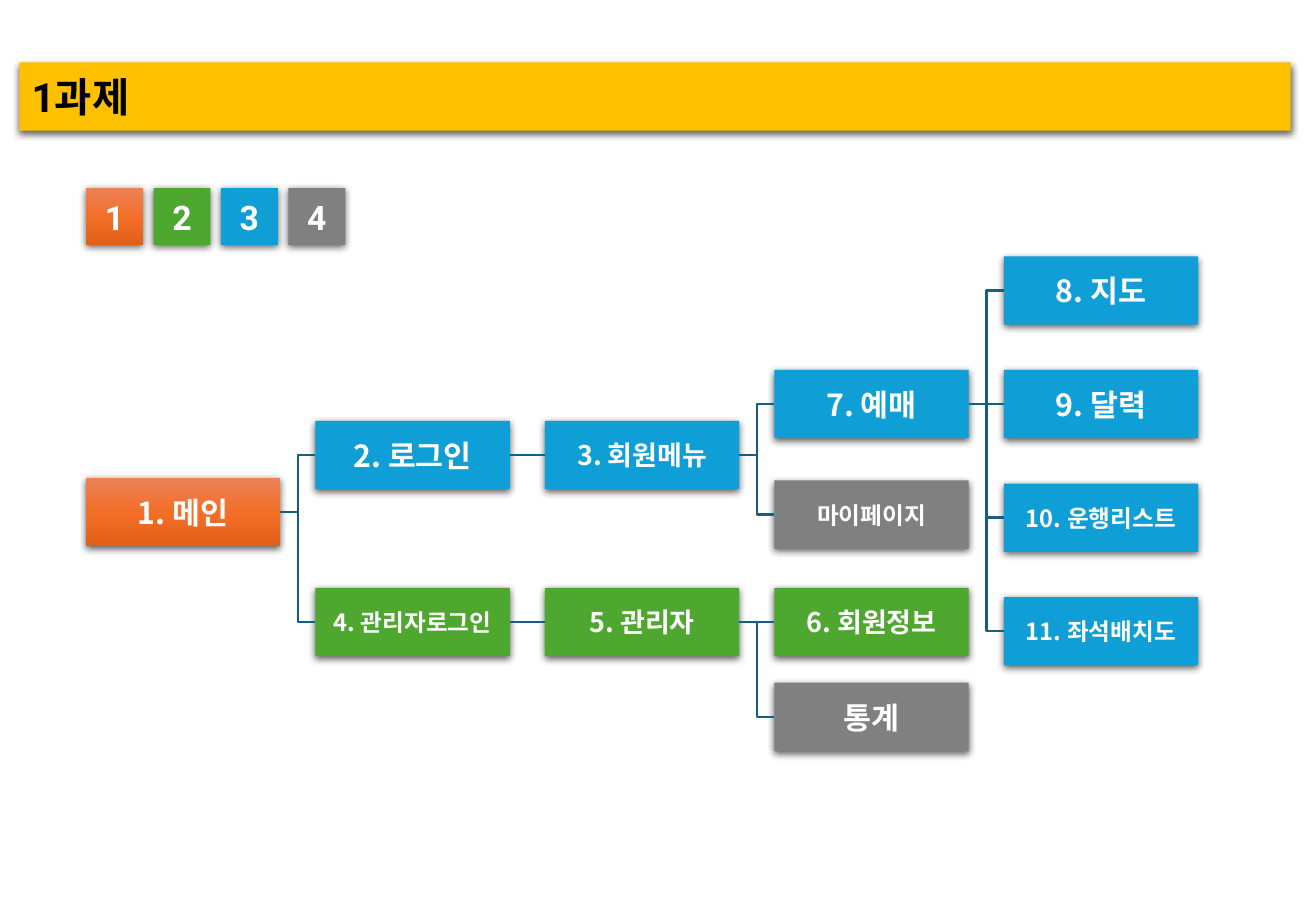
from copy import deepcopy

from pptx import Presentation
from pptx.dml.color import RGBColor
from pptx.enum import shapes, text
from pptx.oxml import parse_xml
from pptx.oxml import ns
from pptx.util import Pt

YELLOW = RGBColor(0xFF, 0xC0, 0x00)
GREEN = RGBColor(0x4E, 0xA7, 0x2E)
BLUE = RGBColor(0x0F, 0x9E, 0xD5)
GRAY = RGBColor(0x80, 0x80, 0x80)
NAVY = RGBColor(0x15, 0x60, 0x82)
BLACK = RGBColor(0x00, 0x00, 0x00)
WHITE = RGBColor(0xFF, 0xFF, 0xFF)
ORANGE = (RGBColor(0xED, 0x82, 0x57), RGBColor(0xF2, 0x6E, 0x29), RGBColor(0xE2, 0x5F, 0x1A))

NUMBER_FONT = "Roboto"
LABEL_FONT = "Noto Sans CJK KR"
TILE_WIDTH, TILE_HEIGHT = 115.2, 40.5
COLUMN_STEP = 136
LEAF_STEP = 67.3
RIGHT_SITE, LEFT_SITE = 3, 1

SHADOW = (
    f'<a:outerShdw {ns.nsdecls("a")} blurRad="57150" dist="19050" dir="5400000" '
    'algn="ctr" rotWithShape="0"><a:srgbClr val="000000"><a:alpha val="63000"/>'
    '</a:srgbClr></a:outerShdw>'
)

# (label, size, colour, column, top, parent)
LEAVES = [("8. 지도", 18), ("9. 달력", 18), ("10. 운행리스트", 14), ("11. 좌석배치도", 14)]
NODES = [
    ("1. 메인", 18, ORANGE, 0, 131.3, None),
    ("2. 로그인", 18, BLUE, 1, 97.5, "1. 메인"),
    ("4. 관리자로그인", 14, GREEN, 1, 196.4, "1. 메인"),
    ("3. 회원메뉴", 16, BLUE, 2, 97.5, "2. 로그인"),
    ("5. 관리자", 16, GREEN, 2, 196.4, "4. 관리자로그인"),
    ("7. 예매", 18, BLUE, 3, LEAF_STEP, "3. 회원메뉴"),
    ("마이페이지", 14, GRAY, 3, 132.8, "3. 회원메뉴"),
    ("6. 회원정보", 16, GREEN, 3, 196.4, "5. 관리자"),
    ("통계", 18, GRAY, 3, 252.7, "5. 관리자"),
] + [
    (label, size, BLUE, 4, row * LEAF_STEP, "7. 예매")
    for row, (label, size) in enumerate(LEAVES)
]


def paint(shape, colour):
    """Fill a shape with one colour or a three-stop gradient and add its shadow."""
    if isinstance(colour, RGBColor):
        shape.fill.solid()
        shape.fill.fore_color.rgb = colour
    else:
        shape.fill.gradient()
        shape.fill.gradient_angle = 270
        stops = shape._element.spPr.find(".//" + ns.qn("a:gsLst"))
        stops.insert(1, deepcopy(stops[0]))
        for index, (stop, shade) in enumerate(zip(shape.fill.gradient_stops, colour)):
            stop.position = index / 2
            stop.color.rgb = shade
    shape.line.fill.background()
    shape.shadow.inherit = False
    effects = shape._element.spPr.find(ns.qn("a:effectLst"))
    effects.append(parse_xml(SHADOW))


def write(shape, label, font, size, colour, align):
    """Put one bold, vertically centred label into a shape."""
    frame = shape.text_frame
    frame.text = label
    frame.word_wrap = True
    frame.auto_size = text.MSO_AUTO_SIZE.NONE
    frame.vertical_anchor = text.MSO_ANCHOR.MIDDLE
    para = frame.paragraphs[0]
    para.alignment = align
    for span in para.runs:
        span.font.name = font
        span.font.size = Pt(size)
        span.font.bold = True
        span.font.color.rgb = colour
        east_asian = parse_xml(f'<a:ea {ns.nsdecls("a")} typeface="{font}"/>')
        span.font._element.find(ns.qn("a:latin")).addnext(east_asian)


def add_tile(page, box, label, font, size, colour):
    """Add one coloured rectangle with a centred white label."""
    tile = page.shapes.add_shape(shapes.MSO_SHAPE.RECTANGLE, *map(Pt, box))
    paint(tile, colour)
    write(tile, label, font, size, WHITE, text.PP_ALIGN.CENTER)
    tile.text_frame.margin_left = tile.text_frame.margin_right = 0
    return tile


def add_title(page, box):
    """Turn the title placeholder into the yellow header bar."""
    title = page.shapes.title
    title.left, title.top, title.width, title.height = map(Pt, box)
    paint(title, YELLOW)
    write(title, "1과제", NUMBER_FONT, 24, BLACK, text.PP_ALIGN.LEFT)


def add_legend(page, box):
    """Lay out the four numbered squares from left to right."""
    left, top, width, side = box
    step = (width - side) / 3
    for index, colour in enumerate((ORANGE, GREEN, BLUE, GRAY)):
        square = (left + index * step, top, side, side)
        add_tile(page, square, str(index + 1), NUMBER_FONT, 20, colour)


def link(page, parent, child):
    """Join the right side of a parent to the left side of its child."""
    line = page.shapes.add_connector(shapes.MSO_CONNECTOR.ELBOW, 0, 0, 0, 0)
    line.begin_connect(parent, RIGHT_SITE)
    line.end_connect(child, LEFT_SITE)
    line.line.color.rgb = NAVY
    line.line.width = Pt(1.5)
    line._element.spPr.append(parse_xml(f'<a:effectLst {ns.nsdecls("a")}/>'))


def add_site_tree(page, left, top):
    """Draw the screens in columns and link each to its parent."""
    tiles = {}
    for label, size, colour, column, offset, _ in NODES:
        box = (left + column * COLUMN_STEP, top + offset, TILE_WIDTH, TILE_HEIGHT)
        tiles[label] = add_tile(page, box, label, LABEL_FONT, size, colour)
    for label, *_, parent in NODES:
        if parent:
            link(page, tiles[parent], tiles[label])


def main():
    """Build the slide and save the deck."""
    deck = Presentation()
    deck.slide_width, deck.slide_height = Pt(780), Pt(540)
    page = deck.slides.add_slide(deck.slide_layouts.get_by_name("Title Only"))
    add_title(page, (11.5, 37, 753.5, 40.5))
    add_legend(page, (51, 111.5, 153.7, 33.7))
    add_site_tree(page, 51, 152)
    deck.save("out.pptx")


if __name__ == "__main__":
    main()
